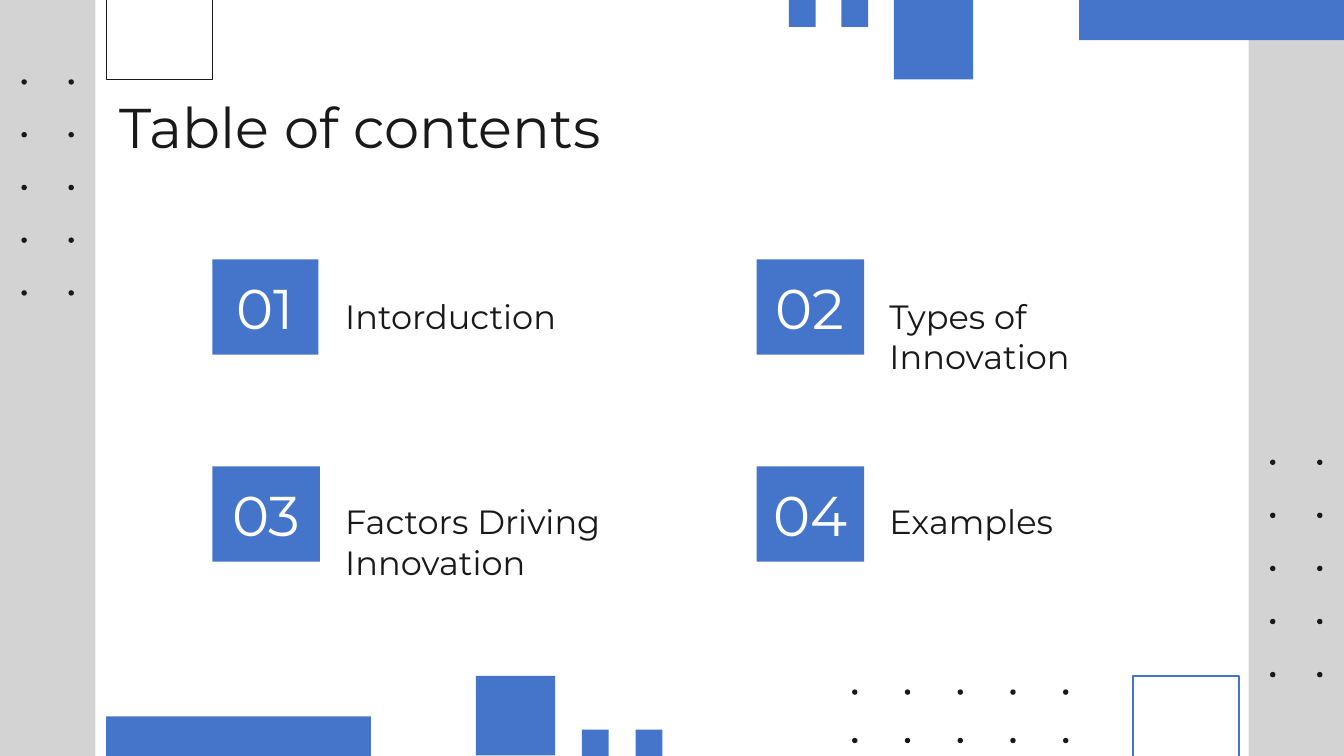
from pptx import Presentation
from pptx.dml.color import RGBColor
from pptx.enum.shapes import MSO_SHAPE
from pptx.enum.text import MSO_ANCHOR, PP_ALIGN
from pptx.util import Inches, Pt

RECT, OVAL = MSO_SHAPE.RECTANGLE, MSO_SHAPE.OVAL
TOP, MIDDLE = MSO_ANCHOR.TOP, MSO_ANCHOR.MIDDLE
LEFT, CENTER = PP_ALIGN.LEFT, PP_ALIGN.CENTER
BLUE, GREY, INK, WHITE = "4475CA", "D3D3D3", "191919", "FFFFFF"
WIDE = 10
HIGH = WIDE * 9 / 16

prs = Presentation()
prs.slide_width, prs.slide_height = Inches(WIDE), Inches(HIGH)
slide = prs.slides.add_slide(prs.slide_layouts[6])


def add_block(kind, x, y, w, h, fill=None, line=None):
    block = slide.shapes.add_shape(kind, Inches(x), Inches(y), Inches(w), Inches(h))
    block.shadow.inherit = False
    if fill:
        block.fill.solid()
        block.fill.fore_color.rgb = RGBColor.from_string(fill)
    else:
        block.fill.background()
    if line:
        block.line.color.rgb = RGBColor.from_string(line)
        block.line.width = Pt(0.75)
    else:
        block.line.fill.background()
    return block


def write(shape, text, size, color, align=LEFT, anchor=TOP):
    frame = shape.text_frame
    frame.word_wrap = True
    frame.vertical_anchor = anchor
    frame.margin_left = frame.margin_right = Inches(0.1)
    frame.margin_top = frame.margin_bottom = Inches(0.1)
    para = frame.paragraphs[0]
    para.alignment = align
    run = para.add_run()
    run.text = text
    run.font.name = "Montserrat"
    run.font.size = Pt(size)
    run.font.color.rgb = RGBColor.from_string(color)


# Grey side bands
for x in (0, 9.29):
    add_block(RECT, x, 0, 0.71, HIGH, GREY)

# Blue blocks along the top and bottom edges
for x, y, w, h in (
    (6.65, 0, 0.59, 0.59), (6.26, 0, 0.2, 0.2), (5.87, 0, 0.2, 0.2),
    (8.03, 0, 1.97, 0.3),
    (3.54, 5.03, 0.59, 0.59), (4.33, 5.43, 0.2, 0.2), (4.73, 5.43, 0.2, 0.2),
    (0.79, 5.33, 1.97, 0.3),
):
    add_block(RECT, x, y, w, h, BLUE)

# Outlined squares
add_block(RECT, 8.43, 5.03, 0.79, 0.79, line=BLUE)
add_block(RECT, 0.79, -0.2, 0.79, 0.79, line=INK)

# Dot grids: left, top, columns, rows, total span across and down
for x, y, cols, rows, across, down in (
    (0.16, 0.59, 2, 5, 0.35, 1.57),
    (9.45, 3.42, 2, 5, 0.35, 1.58),
    (6.34, 5.13, 5, 2, 1.57, 0.36),
):
    for col in range(cols):
        for row in range(rows):
            left = x + across * col / (cols - 1)
            top = y + down * row / (rows - 1)
            add_block(OVAL, left, top, 0.04, 0.04, INK)

# Title
title = slide.shapes.add_textbox(Inches(0.79), Inches(0.59), Inches(8.43), Inches(0.71))
write(title, "Table of contents", 30, INK)

# Numbered topics, two per row
topics = ("Intorduction", "Types of Innovation", "Factors Driving Innovation", "Examples")
for i, topic in enumerate(topics):
    row, col = divmod(i, 2)
    x, y = 1.58 + col * 4.05, 1.93 + row * 1.54
    badge = add_block(RECT, x, y, 0.8 if i else 0.79, 0.71, BLUE)
    write(badge, f"{i + 1:02}", 30, WHITE, CENTER, MIDDLE)
    top = 2.1 + row * 1.53
    width = 2.28 if i == 2 else 1.9
    label = slide.shapes.add_textbox(Inches(x + 0.89), Inches(top), Inches(width), Inches(0.54))
    write(label, topic, 18, INK)

prs.save("out.pptx")
